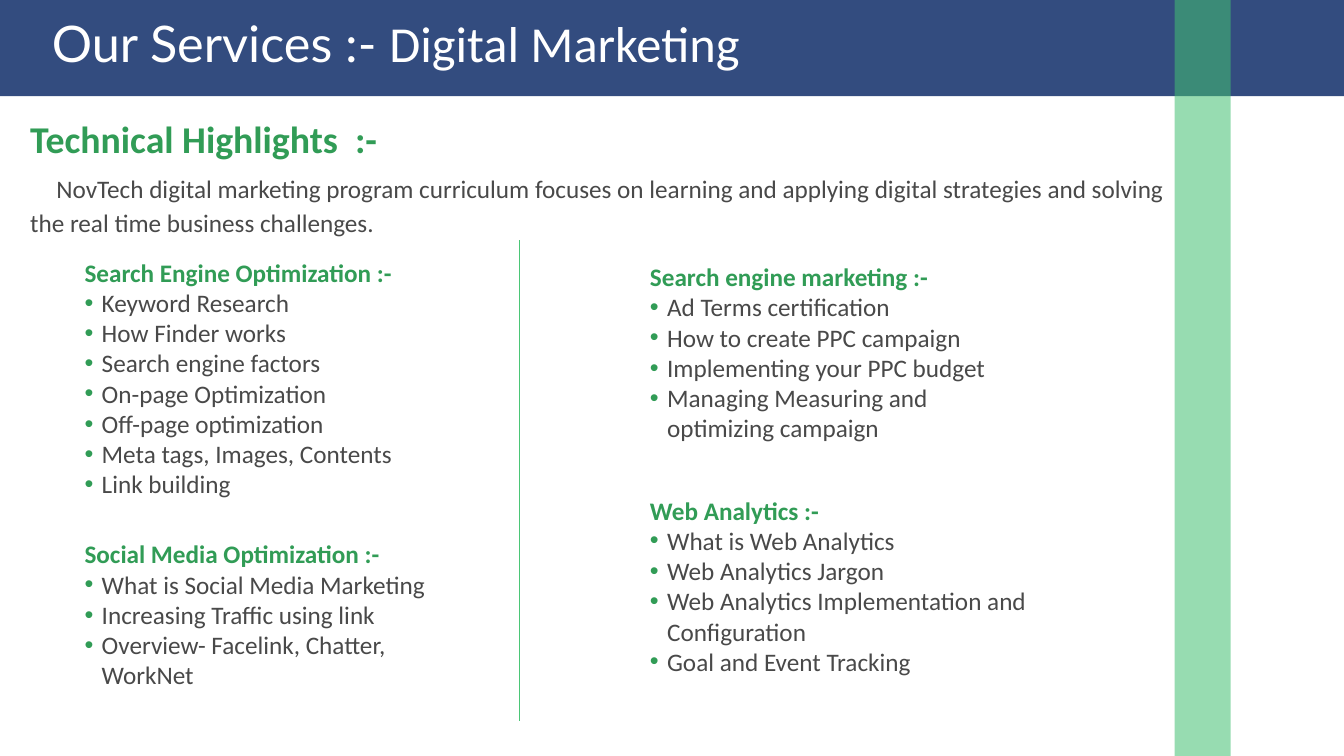
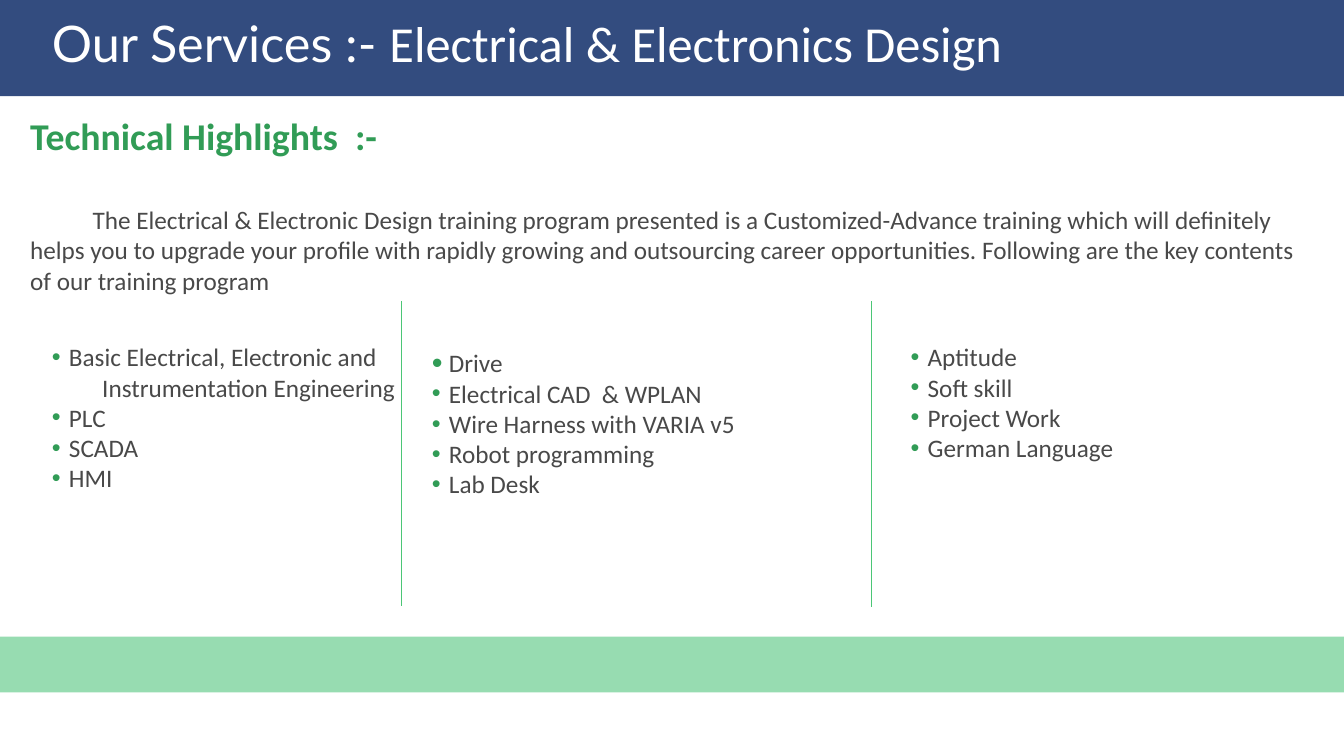
from dataclasses import dataclass

from lxml import etree
from pptx import Presentation
from pptx.dml.color import RGBColor
from pptx.enum import shapes, text
from pptx.oxml import ns
from pptx.util import Inches, Pt


@dataclass(frozen=True)
class Theme:
    navy: str = "002060"
    mint: str = "43C072"
    rule: str = "4BC676"
    green: str = "319C56"
    grey: str = "494949"
    white: str = "FFFFFF"
    title_font: str = "Lato"
    body_font: str = "Calibri"
    title_size: int = 72
    heading_size: int = 54
    body_size: int = 36
    hang: float = 0.34  # distance from bullet to text, in inches


THEME = Theme()
WIDTH, HEIGHT = 26.67, 15
HEADER_HEIGHT, STRIPE = 1.91, 1.11
TITLE_PREFIX = "Our Services :- "
HEADING = "Technical Highlights  :-"

# Intro paragraphs: (text, first-line indent in inches, points before).
# List items: a string is a bullet; a (text, indent) pair continues the bullet above.
PAGES = [
    {
        "title": "Digital Marketing",
        "title_width": 19.56,
        "stripe": (23.31, 0, STRIPE, HEIGHT),
        "intro_area": (0.5, 2.25, 25.62, 2.5),
        "intro": [
            ("NovTech digital marketing program curriculum focuses on learning and "
             "applying digital strategies and solving", 0.52, 17),
            ("the real time business challenges.", 0, 5),
        ],
        "lists": [
            {"area": (1.58, 5.05, 6.77, 4.9),
             "heading": "Search Engine Optimization :-",
             "items": ["Keyword Research", "How Finder works", "Search engine factors",
                       "On-page Optimization", "Off-page optimization",
                       "Meta tags, Images, Contents", "Link building"]},
            {"area": (1.58, 10.64, 7.3, 3.1),
             "heading": "Social Media Optimization :-",
             "items": ["What is Social Media Marketing", "Increasing Traffic using link",
                       "Overview- Facelink, Chatter,", ("WorkNet", THEME.hang)]},
            {"area": (12.8, 5.14, 6.97, 3.7),
             "heading": "Search engine marketing :-",
             "items": ["Ad Terms certification", "How to create PPC campaign",
                       "Implementing your PPC budget", "Managing Measuring and",
                       ("optimizing campaign", THEME.hang)]},
            {"area": (12.8, 9.77, 8.74, 3.7),
             "heading": "Web Analytics :-",
             "items": ["What is Web Analytics", "Web Analytics Jargon",
                       "Web Analytics Implementation and",
                       ("Configuration", THEME.hang), "Goal and Event Tracking"]},
        ],
        "dividers": [(10.31, 4.77, 14.31)],
    },
    {
        "title": "Electrical & Electronics Design",
        "title_width": 23.47,
        "stripe": (0, 12.63, WIDTH, STRIPE),
        "intro_area": (0.5, 2.19, 25.62, 3.7),
        "intro": [
            ("The Electrical & Electronic Design training program presented is a "
             "Customized-Advance training which will definitely helps you to upgrade "
             "your profile with rapidly growing and outsourcing career opportunities. "
             "Following are the key contents of our training program", 1.24, 66),
        ],
        "lists": [
            {"area": (0.93, 6.73, 7.05, 3.7),
             "items": ["Basic Electrical, Electronic and",
                       ("Instrumentation Engineering", 1.0), "PLC", "SCADA", "HMI"]},
            {"area": (8.47, 6.85, 9.87, 3.24),
             "first_bullet": 122,
             "items": ["Drive", "Electrical CAD  & WPLAN", "Wire Harness with VARIA v5",
                       "Robot programming", "Lab Desk"]},
            {"area": (17.97, 6.73, 7.41, 2.5),
             "items": ["Aptitude", "Soft skill", "Project Work", "German Language"]},
        ],
        "dividers": [(7.97, 5.97, 12.03), (17.29, 5.98, 12.04)],
    },
]


def add_band(page, area, color, opacity):
    """Draw a borderless rectangle; opacity is in percent."""
    band = page.shapes.add_shape(shapes.MSO_SHAPE.RECTANGLE, *map(Inches, area))
    band.shadow.inherit = False
    band.line.fill.background()
    band.fill.solid()
    band.fill.fore_color.rgb = RGBColor.from_string(color)
    tint = band.element.spPr.find(f"{ns.qn('a:solidFill')}/{ns.qn('a:srgbClr')}")
    etree.SubElement(tint, ns.qn("a:alpha"), val=str(opacity * 1000))


def add_divider(page, left, top, bottom):
    divider = page.shapes.add_connector(
        shapes.MSO_CONNECTOR.STRAIGHT, *map(Inches, (left, top, left, bottom)))
    divider.line.color.rgb = RGBColor.from_string(THEME.rule)
    divider.line.width = Pt(0.5)
    etree.SubElement(divider.element.spPr, ns.qn("a:effectLst"))


def add_text_frame(page, area):
    frame = page.shapes.add_textbox(*map(Inches, area)).text_frame
    frame.word_wrap = True
    frame.auto_size = text.MSO_AUTO_SIZE.SHAPE_TO_FIT_TEXT
    return frame


def add_paragraph(frame, words="", size=THEME.body_size, color=THEME.grey, bold=False,
                  margin=0, indent=0, before=0, bullet=None):
    """Fill the next paragraph; bullet is its size in percent of the text."""
    first = frame.paragraphs[0]
    para = frame.add_paragraph() if first.runs else first
    para.text = words
    para.space_before = Pt(before)
    props = para._p.get_or_add_pPr()
    props.set("marL", str(Inches(margin)))
    props.set("indent", str(Inches(indent)))
    if bullet:
        tint = etree.SubElement(props, ns.qn("a:buClr"))
        etree.SubElement(tint, ns.qn("a:srgbClr"), val=THEME.green)
        etree.SubElement(props, ns.qn("a:buSzPct"), val=str(bullet * 1000))
        etree.SubElement(props, ns.qn("a:buFont"), typeface="Arial")
        etree.SubElement(props, ns.qn("a:buChar"), char="•")
    para.font.name = THEME.body_font
    para.font.size = Pt(size)
    para.font.bold = bold
    para.font.color.rgb = RGBColor.from_string(color)
    return para


def add_title(page, topic, width):
    frame = add_text_frame(page, (0.93, 0.2, width, 2.5))
    para = add_paragraph(frame, size=THEME.title_size, color=THEME.white)
    for words, font in ((TITLE_PREFIX, THEME.title_font), (topic, THEME.body_font)):
        span = para.add_run()
        span.text = words
        span.font.name = font


def add_intro(page, area, paragraphs):
    frame = add_text_frame(page, area)
    add_paragraph(frame, HEADING, THEME.heading_size, THEME.green, bold=True)
    for words, indent, before in paragraphs:
        add_paragraph(frame, words, indent=indent, before=before)


def add_list(page, area, items, heading=None, first_bullet=100):
    frame = add_text_frame(page, area)
    if heading:
        add_paragraph(frame, heading, color=THEME.green, bold=True)
    for number, item in enumerate(items):
        if isinstance(item, tuple):
            words, margin = item
            add_paragraph(frame, words, margin=margin)
        else:
            add_paragraph(frame, item, margin=THEME.hang, indent=-THEME.hang,
                          bullet=100 if number else first_bullet)


def build_page(deck, content):
    page = deck.slides.add_slide(deck.slide_layouts[6])
    add_band(page, (0, 0, WIDTH, HEADER_HEIGHT), THEME.navy, 80)
    add_title(page, content["title"], content["title_width"])
    add_band(page, content["stripe"], THEME.mint, 55)
    add_intro(page, content["intro_area"], content["intro"])
    for topic_list in content["lists"]:
        add_list(page, **topic_list)
    for divider in content["dividers"]:
        add_divider(page, *divider)


def main():
    deck = Presentation()
    deck.slide_width, deck.slide_height = Inches(WIDTH), Inches(HEIGHT)
    for content in PAGES:
        build_page(deck, content)
    deck.save("out.pptx")


if __name__ == "__main__":
    main()
